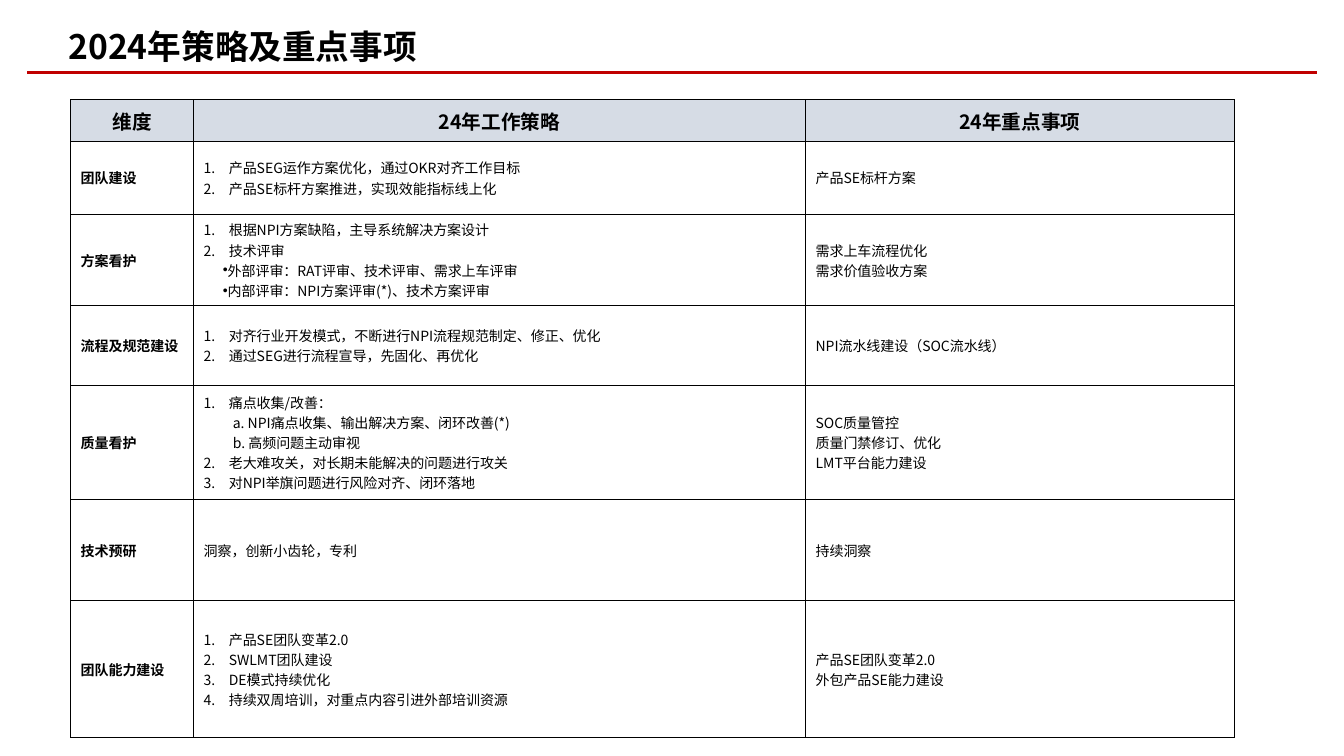
from lxml.etree import SubElement
from pptx import Presentation
from pptx.dml.color import RGBColor
from pptx.enum.shapes import MSO_CONNECTOR
from pptx.enum.text import MSO_ANCHOR, PP_ALIGN
from pptx.oxml import parse_xml
from pptx.oxml.ns import nsdecls, qn
from pptx.util import Inches, Pt

FONT = "Noto Sans CJK SC"
BLACK = RGBColor(0x00, 0x00, 0x00)
WHITE = RGBColor(0xFF, 0xFF, 0xFF)
RED = RGBColor(0xC0, 0x00, 0x00)
GREY = RGBColor(0xD6, 0xDC, 0xE5)

# Paragraph kinds: left margin and first-line indent in inches
PLAIN, NUM, DOT, SUB = "plain", "num", "dot", "sub"
INDENT = {PLAIN: (0, 0), NUM: (0.25, -0.25), DOT: (0.19, 0), SUB: (0, 0.29)}

COLS = [1.22, 6.07, 4.25]
ROWS = [0.41, 0.73, 0.89, 0.79, 1.14, 1, 1.36]
HEAD = ["维度", "24年工作策略", "24年重点事项"]
# Each row: dimension, strategy paragraphs, key items
BODY = [
    ("团队建设",
     [(NUM, "产品SEG运作方案优化，通过OKR对齐工作目标"),
      (NUM, "产品SE标杆方案推进，实现效能指标线上化")],
     ["产品SE标杆方案"]),
    ("方案看护",
     [(NUM, "根据NPI方案缺陷，主导系统解决方案设计"),
      (NUM, "技术评审"),
      (DOT, "外部评审：RAT评审、技术评审、需求上车评审"),
      (DOT, "内部评审：NPI方案评审(*)、技术方案评审")],
     ["需求上车流程优化", "需求价值验收方案"]),
    ("流程及规范建设",
     [(NUM, "对齐行业开发模式，不断进行NPI流程规范制定、修正、优化"),
      (NUM, "通过SEG进行流程宣导，先固化、再优化")],
     ["NPI流水线建设（SOC流水线）"]),
    ("质量看护",
     [(NUM, "痛点收集/改善："),
      (SUB, "a. NPI痛点收集、输出解决方案、闭环改善(*)"),
      (SUB, "b. 高频问题主动审视"),
      (NUM, "老大难攻关，对长期未能解决的问题进行攻关"),
      (NUM, "对NPI举旗问题进行风险对齐、闭环落地")],
     ["SOC质量管控", "质量门禁修订、优化", "LMT平台能力建设"]),
    ("技术预研",
     [(PLAIN, "洞察，创新小齿轮，专利")],
     ["持续洞察"]),
    ("团队能力建设",
     [(NUM, "产品SE团队变革2.0"),
      (NUM, "SWLMT团队建设"),
      (NUM, "DE模式持续优化"),
      (NUM, "持续双周培训，对重点内容引进外部培训资源")],
     ["产品SE团队变革2.0", "外包产品SE能力建设"]),
]


def add_run(para, text, size, bold):
    run = para.add_run()
    run.text = text
    for name, value in {"name": FONT, "size": Pt(size), "bold": bold}.items():
        setattr(run.font, name, value)
    run.font.color.rgb = BLACK
    SubElement(run.font._element, qn("a:ea")).set("typeface", FONT)


def set_list(para, kind, start):
    left, first = INDENT[kind]
    props = para._p.get_or_add_pPr()
    props.set("marL", str(Inches(left)))
    props.set("indent", str(Inches(first)))
    if kind == NUM:
        mark = SubElement(props, qn("a:buAutoNum"))
        mark.set("type", "arabicPeriod")
        if start > 1:
            mark.set("startAt", str(start))
    elif kind == DOT:
        SubElement(props, qn("a:buFont")).set("typeface", "Arial")
        SubElement(props, qn("a:buChar")).set("char", "•")


def fill_cell(cell, lines, size=10, bold=False, align=PP_ALIGN.LEFT, fill=WHITE):
    cell.vertical_anchor = MSO_ANCHOR.MIDDLE
    cell.fill.solid()
    cell.fill.fore_color.rgb = fill
    # Thin black border on each side
    props = cell._tc.get_or_add_tcPr()
    for spot, side in enumerate("LRTB"):
        props.insert(spot, parse_xml(
            f'<a:ln{side} {nsdecls("a")} w="{Pt(0.75)}"><a:solidFill>'
            f'<a:srgbClr val="{BLACK}"/></a:solidFill></a:ln{side}>'))
    # Numbering resumes after sub-items
    frame = cell.text_frame
    count, start, last = 0, 1, None
    for spot, (kind, text) in enumerate(lines):
        para = frame.add_paragraph() if spot else frame.paragraphs[0]
        para.alignment = align
        if kind == NUM:
            count += 1
            if last != NUM:
                start = count
        set_list(para, kind, start)
        add_run(para, text, size, bold)
        last = kind


def add_title(slide, left, top, width, height):
    title = slide.shapes.title
    box = {"left": left, "top": top, "width": width, "height": height}
    for name, value in box.items():
        setattr(title, name, Inches(value))
    frame = title.text_frame
    look = {"word_wrap": True, "vertical_anchor": MSO_ANCHOR.MIDDLE,
            "margin_top": 0, "margin_bottom": 0}
    for name, value in look.items():
        setattr(frame, name, value)
    para = frame.paragraphs[0]
    para.alignment = PP_ALIGN.LEFT
    add_run(para, "2024年策略及重点事项", 24, True)


def add_rule(slide, left, top, width):
    rule = slide.shapes.add_connector(
        MSO_CONNECTOR.STRAIGHT, Inches(left), Inches(top),
        Inches(left + width), Inches(top))
    rule.line.color.rgb = RED
    rule.line.width = Pt(2)
    SubElement(rule._element.spPr, qn("a:effectLst"))


def add_grid(slide, left, top):
    table = slide.shapes.add_table(
        len(ROWS), len(COLS), Inches(left), Inches(top),
        Inches(sum(COLS)), Inches(sum(ROWS))).table
    table.horz_banding = False
    for col, width in zip(table.columns, COLS):
        col.width = Inches(width)
    for row, height in zip(table.rows, ROWS):
        row.height = Inches(height)
    for spot, text in enumerate(HEAD):
        fill_cell(table.cell(0, spot), [(PLAIN, text)], 14, True,
                  PP_ALIGN.CENTER, GREY)
    for spot, (name, plan, items) in enumerate(BODY, 1):
        fill_cell(table.cell(spot, 0), [(PLAIN, name)], bold=True)
        fill_cell(table.cell(spot, 1), plan)
        fill_cell(table.cell(spot, 2), [(PLAIN, item) for item in items])


def main():
    deck = Presentation()
    deck.slide_width, deck.slide_height = Inches(13.33), Inches(7.5)
    slide = deck.slides.add_slide(deck.slide_layouts[5])
    add_rule(slide, 0.27, 0.72, 12.79)
    add_title(slide, 0.58, 0.21, 5.98, 0.5)
    add_grid(slide, 0.7, 0.99)
    deck.save("out.pptx")


if __name__ == "__main__":
    main()
